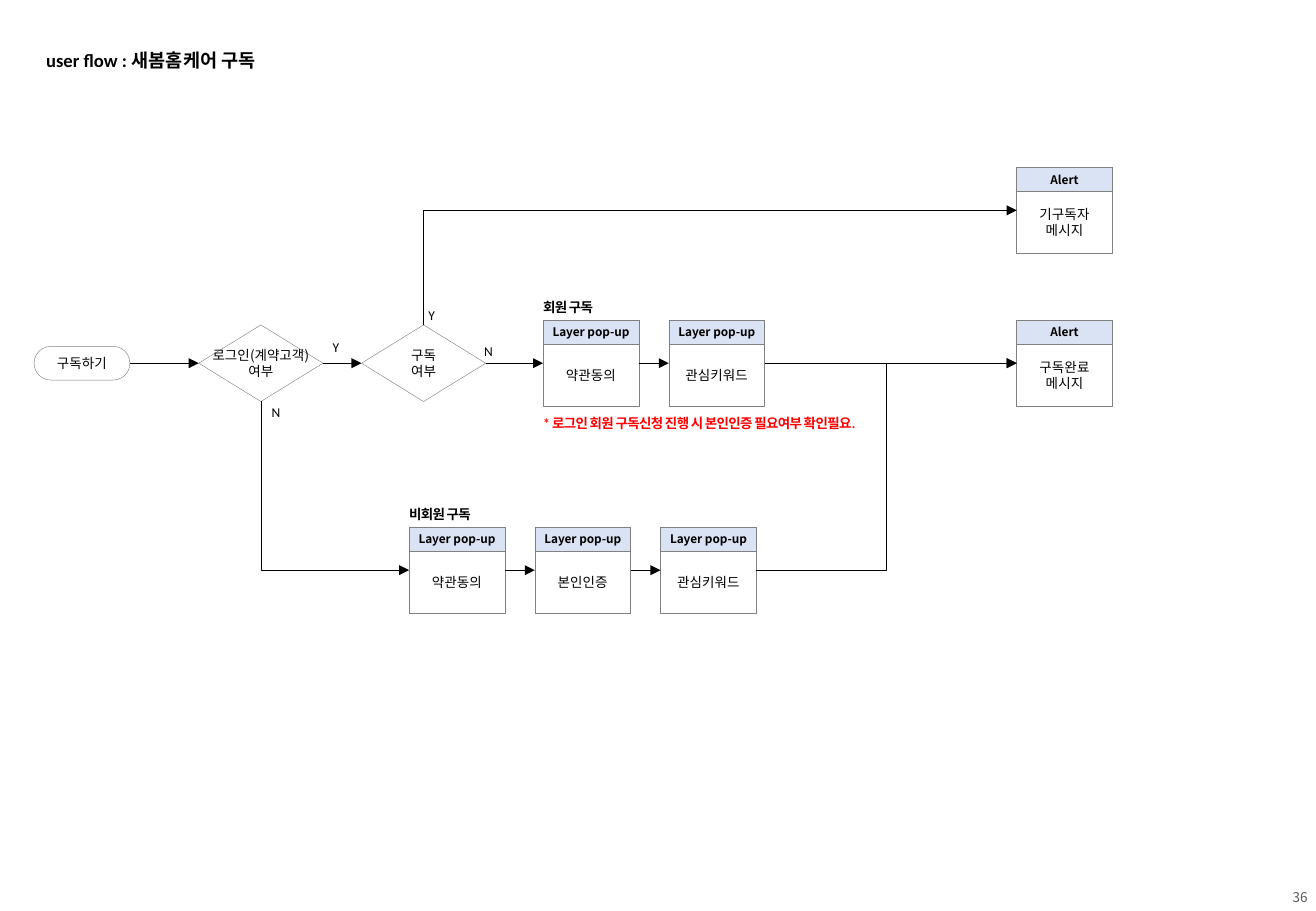
from dataclasses import dataclass

from lxml import etree
from pptx import Presentation
from pptx import util as u
from pptx.dml import color
from pptx.enum import lang, shapes, text
from pptx.oxml import ns


@dataclass(frozen=True)
class Theme:
    ink: str = "000000"
    outline: str = "808080"
    paper: str = "FFFFFF"
    header: str = "DAE3F3"
    warning: str = "FF0000"
    muted: str = "595959"
    title_font: str = "Calibri"
    node_font: str = "Arial"
    korean_font: str = "Noto Sans CJK KR"
    title_size: float = 11
    body_size: float = 8
    header_size: float = 7
    line_width: float = 0.25


@dataclass(frozen=True)
class Box:
    left: float
    top: float
    width: float
    height: float

    @property
    def right(self):
        return self.left + self.width

    @property
    def bottom(self):
        return self.top + self.height

    @property
    def middle_x(self):
        return self.left + self.width / 2

    @property
    def middle_y(self):
        return self.top + self.height / 2


THEME = Theme()
PRESET = shapes.MSO_SHAPE
TOP, LEFT, BOTTOM, RIGHT = range(4)
CARD_WIDTH, CARD_HEIGHT, CARD_PITCH = 56.8, 51, 74.5
HEADER_HEIGHT = 14.2
MAIN_Y, GUEST_Y, ALERT_Y = 215.3, 338, 124.7


def rgb(value):
    return color.RGBColor.from_string(value)


def write(shape, content, *, font=THEME.node_font, size=THEME.body_size, ink=THEME.ink,
          bold=False, align=text.PP_ALIGN.CENTER, anchor=text.MSO_ANCHOR.MIDDLE,
          insets=(7.2, 3.6, 7.2, 3.6), wrap=False, grow=False, tracking=0):
    """Put text, one paragraph a line, into a shape."""
    frame = shape.text_frame
    frame.word_wrap = wrap
    frame.vertical_anchor = anchor
    frame.auto_size = text.MSO_AUTO_SIZE.SHAPE_TO_FIT_TEXT if grow else text.MSO_AUTO_SIZE.NONE
    (frame.margin_left, frame.margin_top,
     frame.margin_right, frame.margin_bottom) = map(u.Pt, insets)
    frame.text = content
    for paragraph in frame.paragraphs:
        paragraph.alignment = align
        for run in paragraph.runs:
            run.font.size = u.Pt(size)
            run.font.bold = bold
            run.font.color.rgb = rgb(ink)
            run.font.name = font
            run.font.language_id = lang.MSO_LANGUAGE_ID.KOREAN
            properties = run.font._element
            etree.SubElement(properties, ns.qn("a:ea")).set("typeface", font)
            if tracking:
                properties.set("spc", str(round(tracking * 100)))


def draw(parent, preset, box, fill=None, line=THEME.outline):
    shape = parent.add_shape(preset, *map(u.Pt, (box.left, box.top, box.width, box.height)))
    shape.shadow.inherit = False
    if fill:
        shape.fill.solid()
        shape.fill.fore_color.rgb = rgb(fill)
    else:
        shape.fill.background()
    if line:
        shape.line.color.rgb = rgb(line)
        shape.line.width = u.Pt(THEME.line_width)
    else:
        shape.line.fill.background()
    return shape


def label(slide, content, box, **style):
    shape = slide.shapes.add_textbox(*map(u.Pt, (box.left, box.top, box.width, box.height)))
    style = {"font": THEME.title_font, "align": text.PP_ALIGN.LEFT,
             "anchor": text.MSO_ANCHOR.TOP, "grow": True} | style
    write(shape, content, **style)


def caption(slide, content, box, ink=THEME.ink):
    shape = draw(slide.shapes, PRESET.RECTANGLE, box, THEME.paper, None)
    write(shape, content, font=THEME.title_font, ink=ink, bold=True, tracking=-0.45,
          align=text.PP_ALIGN.LEFT, anchor=text.MSO_ANCHOR.TOP, insets=(0, 0, 0, 0), grow=True)


def start_node(slide, content, box):
    shape = draw(slide.shapes, PRESET.ROUNDED_RECTANGLE, box)
    shape.adjustments[0] = 0.5
    write(shape, content)
    return shape


def decision(slide, content, box, answers):
    """Draw a diamond; answers hold a letter and the place of its label."""
    shape = draw(slide.shapes, PRESET.FLOWCHART_DECISION, box, THEME.paper)
    write(shape, content, font=THEME.korean_font)
    for letter, left, top in answers:
        label(slide, letter, Box(left, top, 20, 17.3))
    return shape


def card(slide, heading, content, box):
    """Draw a grouped card and return its body for connectors."""
    group = slide.shapes.add_group_shape()
    body = draw(group.shapes, PRESET.RECTANGLE, box, THEME.paper)
    write(body, content, insets=(7.2, HEADER_HEIGHT, 7.2, 0))
    header_box = Box(box.left, box.top, box.width, HEADER_HEIGHT)
    header = draw(group.shapes, PRESET.RECTANGLE, header_box, THEME.header)
    write(header, heading, font=THEME.korean_font, size=THEME.header_size, bold=True,
          insets=(0, 0, 0, 0), wrap=True)
    return body


def card_box(left, middle):
    return Box(left, middle - CARD_HEIGHT / 2, CARD_WIDTH, CARD_HEIGHT)


def arrow(slide, source, source_side, target, kind=shapes.MSO_CONNECTOR.STRAIGHT):
    connector = slide.shapes.add_connector(kind, 0, 0, 0, 0)
    connector.begin_connect(source, source_side)
    connector.end_connect(target, LEFT)
    connector.line.color.rgb = rgb(THEME.ink)
    connector.line.width = u.Pt(THEME.line_width)
    etree.SubElement(connector.line._get_or_add_ln(), ns.qn("a:tailEnd")).set("type", "triangle")
    etree.SubElement(connector._element.spPr, ns.qn("a:effectLst"))
    return connector


def corner_arrow(slide, source, source_side, target):
    """Leave vertically, turn once, and enter the target from its left."""
    connector = arrow(slide, source, source_side, target, shapes.MSO_CONNECTOR.ELBOW)
    rising = connector.end_y < connector.begin_y
    middle_x = (connector.begin_x + connector.end_x) // 2
    middle_y = (connector.begin_y + connector.end_y) // 2
    connector.width, connector.height = connector.height, connector.width
    connector.left = middle_x - connector.width // 2
    connector.top = middle_y - connector.height // 2
    properties = connector._element.spPr
    properties.find(ns.qn("a:prstGeom")).set("prst", "bentConnector2")
    transform = properties.find(ns.qn("a:xfrm"))
    transform.set("rot", str((90 if rising else 270) * 60000))
    transform.set("flipH", "1")
    transform.set("flipV", "1" if rising else "0")


def popup_row(slide, title, names, box):
    """Draw a titled row of pop-up cards joined by arrows."""
    caption(slide, title, Box(box.left, box.top - 12.4, 48, 9.4))
    cards = [card(slide, "Layer pop-up", name,
                  Box(box.left + index * CARD_PITCH, box.top, box.width, box.height))
             for index, name in enumerate(names)]
    for source, target in zip(cards, cards[1:]):
        arrow(slide, source, RIGHT, target)
    return cards


def user_flow(slide, page):
    # Title and page number
    label(slide, "user flow : 새봄홈케어 구독", Box(20.2, 25.2, 146, 20.9),
          size=THEME.title_size, bold=True)
    label(slide, "36", Box(page.right - 52.5, page.bottom - 16.6, 54.7, 17.3),
          font=THEME.korean_font, ink=THEME.muted, align=text.PP_ALIGN.RIGHT,
          anchor=text.MSO_ANCHOR.MIDDLE, wrap=True)

    # Start and decisions
    start = start_node(slide, "구독하기", Box(20.2, MAIN_Y - 10, CARD_WIDTH, 20))
    login_box, member_box = (Box(left, MAIN_Y - 22.7, 73.6, 45.4) for left in (117.8, 214.2))
    login = decision(slide, "로그인(계약고객)\n여부", login_box, [
        ("Y", login_box.right - 1.4, login_box.middle_y - 18),
        ("N", login_box.middle_x - 0.7, login_box.bottom - 2)])
    member = decision(slide, "구독\n여부", member_box, [
        ("Y", member_box.middle_x - 4.2, member_box.top - 14),
        ("N", member_box.right - 8, member_box.middle_y - 15.2)])

    # Pop-up rows
    member_row = card_box(321.8, MAIN_Y)
    member_cards = popup_row(slide, "회원 구독", ["약관동의", "관심키워드"], member_row)
    caption(slide, "* 로그인 회원 구독신청 진행 시 본인인증 필요여부 확인필요.",
            Box(member_row.left, member_row.bottom + 5.3, 200, 9.4), THEME.warning)
    guest_cards = popup_row(slide, "비회원 구독", ["약관동의", "본인인증", "관심키워드"],
                            card_box(242.4, GUEST_Y))

    # Final alerts
    subscribed, completed = (
        card(slide, "Alert", message, card_box(602.4, middle))
        for message, middle in (("기구독자\n메시지", ALERT_Y), ("구독완료\n메시지", MAIN_Y)))

    # Flow between the parts
    for source, target in ((start, login), (login, member), (member, member_cards[0]),
                           (member_cards[-1], completed)):
        arrow(slide, source, RIGHT, target)
    corner_arrow(slide, login, BOTTOM, guest_cards[0])
    corner_arrow(slide, member, TOP, subscribed)
    arrow(slide, guest_cards[-1], RIGHT, completed, shapes.MSO_CONNECTOR.ELBOW)


def main():
    page = Box(0, 0, 779.76, 540)
    presentation = Presentation()
    presentation.slide_width, presentation.slide_height = u.Pt(page.width), u.Pt(page.height)
    slide = presentation.slides.add_slide(presentation.slide_layouts[6])
    user_flow(slide, page)
    presentation.save("out.pptx")


if __name__ == "__main__":
    main()
